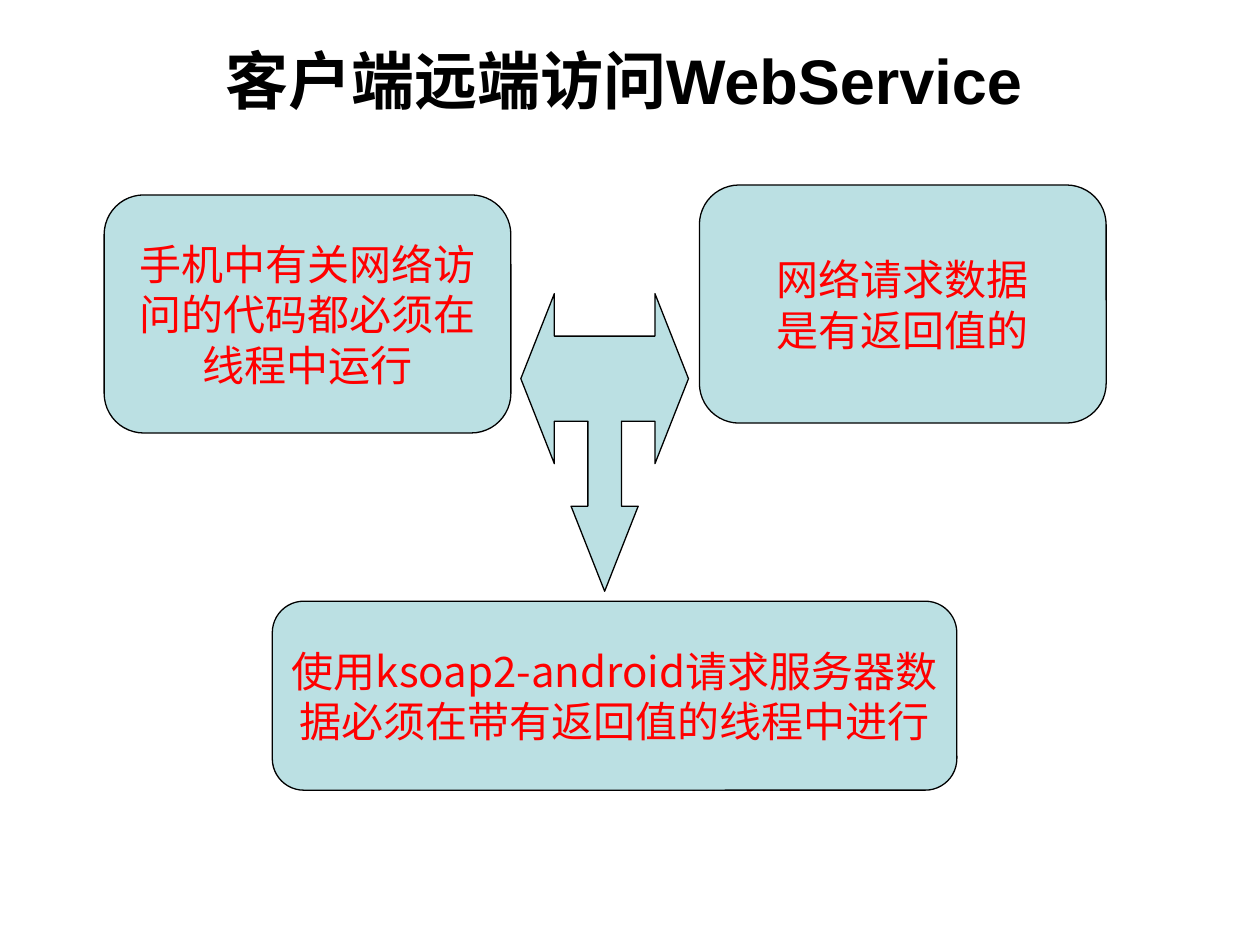
from lxml import etree
from pptx import Presentation
from pptx.dml.color import RGBColor
from pptx.enum.shapes import MSO_SHAPE
from pptx.enum.text import MSO_ANCHOR, PP_ALIGN
from pptx.oxml.ns import qn
from pptx.util import Cm, Pt

ROUND = MSO_SHAPE.ROUNDED_RECTANGLE
MIDDLE = MSO_ANCHOR.MIDDLE
LEFT, CENTER = PP_ALIGN.LEFT, PP_ALIGN.CENTER

BLACK = RGBColor(0x00, 0x00, 0x00)
RED = RGBColor(0xFF, 0x00, 0x00)
TEAL = RGBColor(0xBB, 0xE0, 0xE3)
CJK = "Noto Sans CJK SC"

# Content: places are left, top, width, height in cm
TITLE = "客户端远端访问WebService"
TITLE_AT = (4.29, 0.71, 17.4, 1.78)
BOXES = [
    ((2.1, 3.93, 8.2, 4.8),
     ["手机中有关网络访", "问的代码都必须在", "线程中运行"]),
    ((14.1, 3.73, 8.2, 4.8),
     ["网络请求数据", "是有返回值的"]),
    ((5.49, 12.12, 13.8, 3.81),
     ["使用ksoap2-android请求服务器数", "据必须在带有返回值的线程中进行"]),
]

# Three-way arrow: right half, in tenths of its width and sevenths of its height
ARROW_AT = (10.5, 5.92, 3.38, 6)
HALF = [(0, 7), (2, 5), (1, 5), (1, 3), (3, 3), (3, 4), (5, 2), (3, 0), (3, 1)]


def place(at):
    return [Cm(n) for n in at]


def write(frame, lines, size, color, font, align, bold=False):
    for i, line in enumerate(lines):
        para = frame.paragraphs[0] if i == 0 else frame.add_paragraph()
        para.alignment = align
        run = para.add_run()
        run.text = line
        run.font.size = Pt(size)
        run.font.bold = bold
        run.font.color.rgb = color
        run.font.name = font
        # East Asian typeface
        props = run._r.get_or_add_rPr()
        etree.SubElement(props, qn("a:ea")).set("typeface", CJK)


def paint(shape):
    shape.shadow.inherit = False
    shape.fill.solid()
    shape.fill.fore_color.rgb = TEAL
    shape.line.color.rgb = BLACK
    shape.line.width = Pt(0.75)


def add_box(slide, at, lines):
    box = slide.shapes.add_shape(ROUND, *place(at))
    paint(box)
    frame = box.text_frame
    frame.word_wrap = False
    frame.vertical_anchor = MIDDLE
    write(frame, lines, 24, RED, CJK, CENTER)


def add_arrow(slide):
    left, top, width, height = ARROW_AT
    mirror = [(-x, y) for x, y in reversed(HALF[1:])]
    points = [(Cm(left + width * (0.5 + x / 10)), Cm(top + height * y / 7))
              for x, y in HALF + mirror]
    pen = slide.shapes.build_freeform(*points[0])
    pen.add_line_segments(points[1:], close=True)
    paint(pen.convert_to_shape())


def main():
    deck = Presentation()
    deck.slide_width, deck.slide_height = Cm(25.4), Cm(19.05)
    slide = deck.slides.add_slide(deck.slide_layouts[6])

    # Title
    title = slide.shapes.add_textbox(*place(TITLE_AT)).text_frame
    title.word_wrap = True
    write(title, [TITLE], 36, BLACK, "Arial", LEFT, bold=True)

    # Boxes and the arrow between them
    for at, lines in BOXES:
        add_box(slide, at, lines)
    add_arrow(slide)

    deck.save("out.pptx")


if __name__ == "__main__":
    main()
